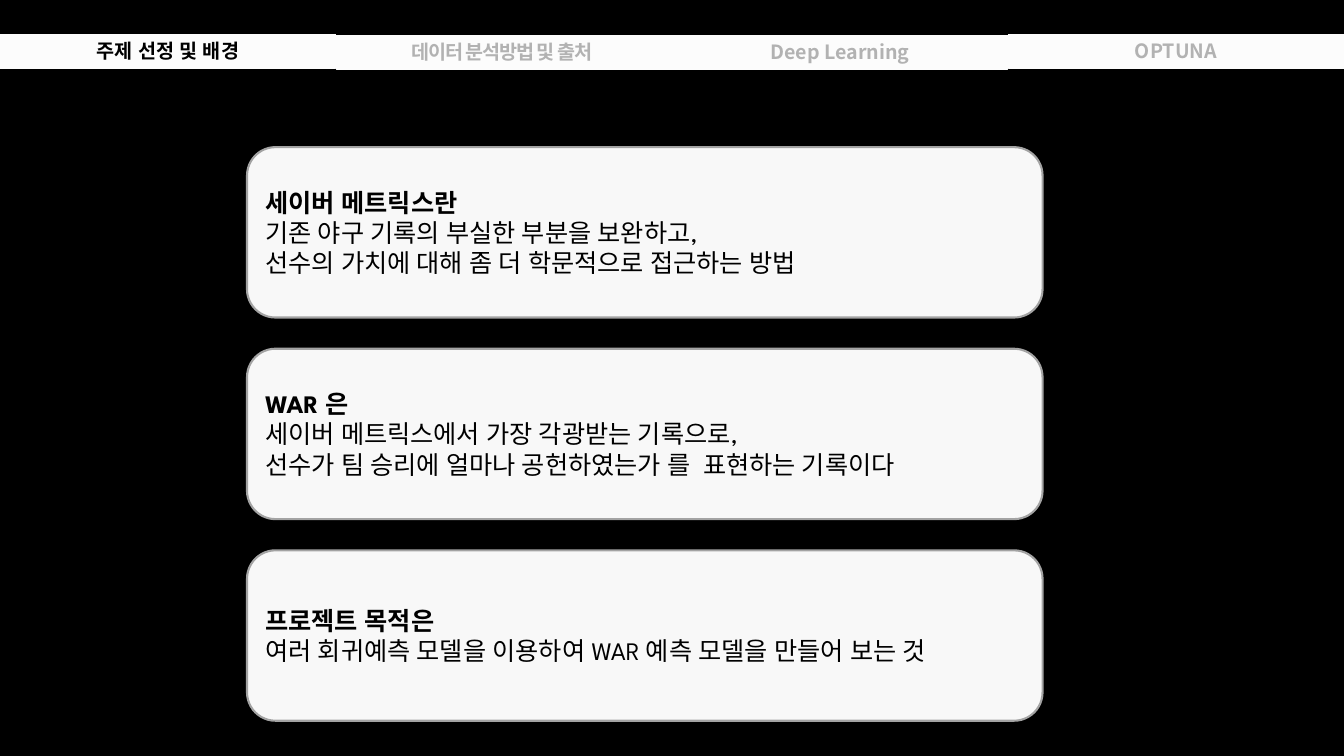
"""Build the slide on the topic and background of a baseball record project."""
from dataclasses import dataclass
from lxml import etree
from pptx import Presentation
from pptx.dml.color import RGBColor
from pptx.enum.shapes import MSO_SHAPE
from pptx.enum.text import MSO_ANCHOR, MSO_AUTO_SIZE, PP_ALIGN
from pptx.oxml.ns import qn
from pptx.util import Inches, Pt

RECT, ROUND = MSO_SHAPE.RECTANGLE, MSO_SHAPE.ROUNDED_RECTANGLE
TOP, MIDDLE = MSO_ANCHOR.TOP, MSO_ANCHOR.MIDDLE
LEFT, CENTER = PP_ALIGN.LEFT, PP_ALIGN.CENTER
GROW, FIXED = MSO_AUTO_SIZE.SHAPE_TO_FIT_TEXT, MSO_AUTO_SIZE.NONE


@dataclass(frozen=True)
class Theme:
    """Hold the colours, fonts and type sizes."""
    back: str = "000000"
    ink: str = "000000"
    dim: str = "B2B2B2"
    tab: str = "FCFCFC"
    card: str = "F8F8F8"
    edge: str = "A3A3A3"
    main: str = "League Spartan"
    sans: str = "Noto Sans CJK KR"
    small: int = 14
    large: int = 18


LOOK = Theme()
WIDE, HIGH = 13.33, 7.5

TABS = [
    ("주제 선정 및 배경", LOOK.main, LOOK.ink, 0, 0.34),
    ("데이터 분석방법 및 출처 ", LOOK.main, LOOK.dim, -100, 0.35),
    ("Deep Learning", LOOK.sans, LOOK.dim, 0, 0.35),
    ("OPTUNA", LOOK.sans, LOOK.dim, 0, 0.34),
]
CARDS = [
    ("세이버 메트릭스란",
     "기존 야구 기록의 부실한 부분을 보완하고,",
     "선수의 가치에 대해 좀 더 학문적으로 접근하는 방법"),
    ("WAR 은",
     "세이버 메트릭스에서 가장 각광받는 기록으로,",
     "선수가 팀 승리에 얼마나 공헌하였는가 를  표현하는 기록이다"),
    ("프로젝트 목적은",
     "여러 회귀예측 모델을 이용하여 WAR 예측 모델을 만들어 보는 것"),
]
TAB_H = 0.34
CARD_X, CARD_Y, CARD_W, CARD_H, STEP = 2.45, 1.46, 7.89, 1.69, 2


def add_box(slide, kind, area, fill, edge, width, anchor, fit):
    """Add a filled shape and return its text frame."""
    box = slide.shapes.add_shape(kind, *map(Inches, area))
    box.shadow.inherit = False
    box.fill.solid()
    box.fill.fore_color.rgb = RGBColor.from_string(fill)
    box.line.color.rgb = RGBColor.from_string(edge)
    box.line.width = Pt(width)
    frame = box.text_frame
    frame.word_wrap = True
    frame.vertical_anchor = anchor
    frame.auto_size = fit
    return frame


def add_run(para, text, size, face, ink, bold, align, space=0):
    """Add a run with its font set for Latin and Korean letters."""
    para.alignment = align
    run = para.add_run()
    run.text = text
    font = run.font
    font.size, font.name, font.bold = Pt(size), face, bold
    font.color.rgb = RGBColor.from_string(ink)
    props = run._r.get_or_add_rPr()
    etree.SubElement(props, qn("a:ea")).set("typeface", face)
    if space:
        props.set("spc", str(space))


def add_tabs(slide):
    """Lay the tabs over equal columns."""
    col = WIDE / len(TABS)
    for i, (text, face, ink, space, top) in enumerate(TABS):
        frame = add_box(slide, RECT, (i * col, top, col, TAB_H),
                        LOOK.tab, LOOK.tab, 0.75, TOP, GROW)
        add_run(frame.paragraphs[0], text, LOOK.small, face, ink, True,
                CENTER, space)


def add_cards(slide):
    """Stack the cards at equal steps."""
    for i, lines in enumerate(CARDS):
        area = CARD_X, CARD_Y + i * STEP, CARD_W, CARD_H
        frame = add_box(slide, ROUND, area, LOOK.card, LOOK.edge, 1.5,
                        MIDDLE, FIXED)
        for n, text in enumerate(lines):
            para = frame.add_paragraph() if n else frame.paragraphs[0]
            add_run(para, text, LOOK.large, LOOK.main, LOOK.ink, n == 0, LEFT)


def main():
    """Build and save the deck."""
    deck = Presentation()
    deck.slide_width, deck.slide_height = Inches(WIDE), Inches(HIGH)
    slide = deck.slides.add_slide(deck.slide_layouts[6])
    back = slide.background.fill
    back.solid()
    back.fore_color.rgb = RGBColor.from_string(LOOK.back)
    add_cards(slide)
    add_tabs(slide)
    deck.save("out.pptx")


if __name__ == "__main__":
    main()
